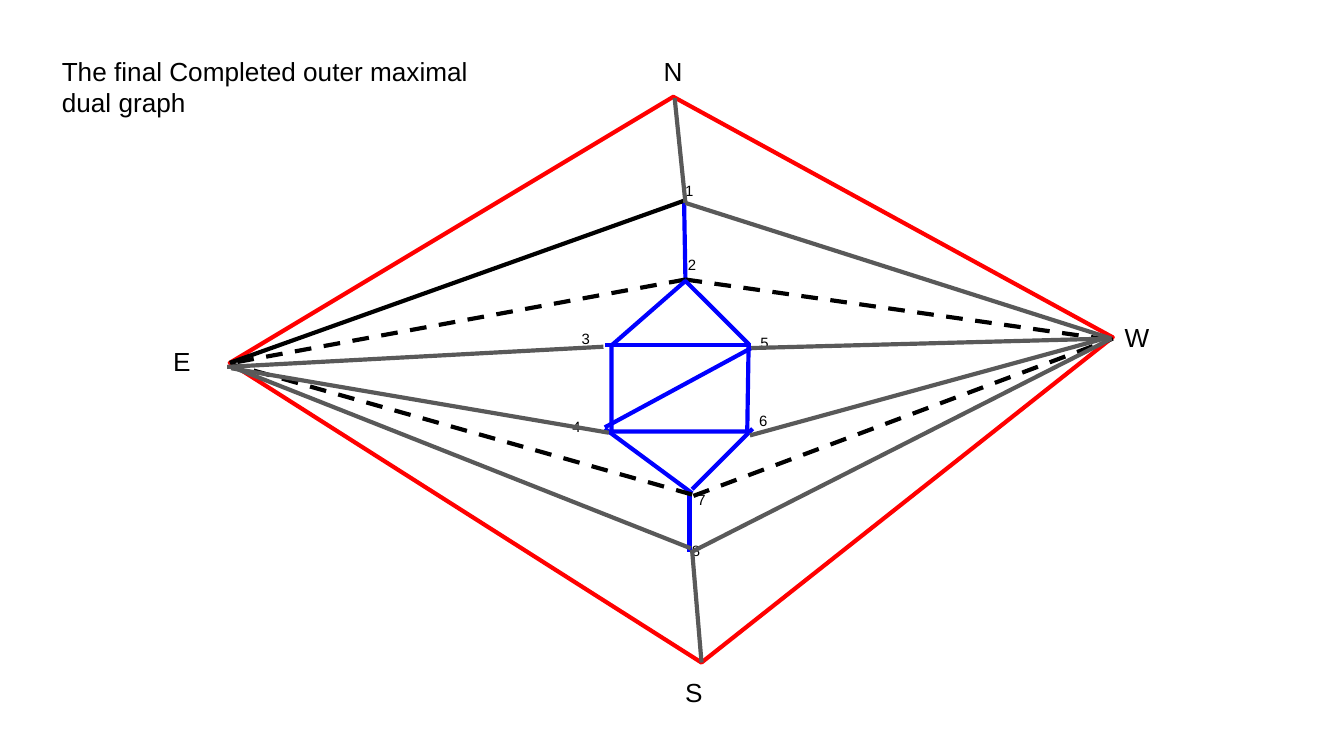
from lxml import etree
from pptx import Presentation
from pptx.dml.color import RGBColor
from pptx.enum.dml import MSO_LINE
from pptx.enum.shapes import MSO_CONNECTOR
from pptx.enum.text import MSO_ANCHOR, MSO_AUTO_SIZE, PP_ALIGN
from pptx.oxml.ns import qn
from pptx.util import Emu, Pt

DASH = MSO_LINE.DASH
STRAIGHT = MSO_CONNECTOR.STRAIGHT
TOP = MSO_ANCHOR.TOP
NO_AUTOFIT = MSO_AUTO_SIZE.NONE
LEFT = PP_ALIGN.LEFT
PX = 9144  # 100 px to the inch
RED, BLUE, GRAY, BLACK = "FF0000", "0000FF", "595959", "000000"

presentation = Presentation()
presentation.slide_width = Emu(1000 * PX)
presentation.slide_height = Emu(1000 * PX * 9 // 16)
slide = presentation.slides.add_slide(presentation.slide_layouts[5])
shapes = slide.shapes


def write_text(shape, text, size):
    frame = shape.text_frame
    frame.text = text
    frame_format = {
        "word_wrap": True,
        "auto_size": NO_AUTOFIT,
        "vertical_anchor": TOP,
        "margin_left": 10 * PX,
        "margin_right": 10 * PX,
        "margin_top": 10 * PX,
        "margin_bottom": 10 * PX,
    }
    for name, value in frame_format.items():
        setattr(frame, name, value)
    paragraph = frame.paragraphs[0]
    paragraph.alignment = LEFT
    font = paragraph.runs[0].font
    for name, value in {"name": "Arial", "size": Pt(size)}.items():
        setattr(font, name, value)
    font.color.rgb = RGBColor.from_string(BLACK)


def draw_path(points, color, dash=None):
    """Draw a connector for two points, a closed outline for more."""
    if len(points) == 2:
        (x1, y1), (x2, y2) = points
        shape = shapes.add_connector(STRAIGHT, x1 * PX, y1 * PX, x2 * PX, y2 * PX)
        etree.SubElement(shape._element.spPr, qn("a:effectLst"))
    else:
        builder = shapes.build_freeform(*points[0], scale=PX)
        builder.add_line_segments(points[1:], close=True)
        shape = builder.convert_to_shape()
        shape.fill.background()
        shape.shadow.inherit = False
    shape.line.color.rgb = RGBColor.from_string(color)
    shape.line.width = Pt(2.25)
    if dash:
        shape.line.dash_style = dash


title = shapes.title
title.left, title.top, title.width, title.height = (
    Emu(value * PX) for value in (36, 31, 339, 73))
write_text(title, "The final Completed outer maximal dual graph", 14)

# Outer boundary N-E-S-W, inner edges and the dashed edges of 2 and 7
draw_path([(501, 72), (171, 270), (522, 493), (828, 251)], RED)
inner_edges = [
    ((510, 208), (509, 149), BLUE, None),
    ((510, 208), (173, 270), BLACK, DASH),
    ((510, 208), (827, 253), BLACK, DASH),
    ((450, 257), (559, 257), BLUE, None),
    ((450, 318), (559, 259), BLUE, None),
    ((560, 319), (515, 364), BLUE, None),
    ((450, 319), (515, 367), BLUE, None),
    ((513, 365), (513, 411), BLUE, None),
    ((515, 368), (172, 271), BLACK, DASH),
    ((516, 369), (828, 252), BLACK, DASH),
]
for start, end, color, dash in inner_edges:
    draw_path([start, end], color, dash)

vertex_labels = [
    ("N", 484, 31, 14), ("S", 500, 493, 14),
    ("E", 119, 247, 14), ("W", 827, 229, 14),
    ("2", 502, 180, 8), ("1", 500, 125, 8),
    ("3", 423, 235, 8), ("5", 556, 238, 8),
    ("4", 416, 301, 8), ("6", 555, 296, 8),
    ("7", 509, 355, 8), ("8", 505, 393, 8),
]
for text, left, top, size in vertex_labels:
    label = shapes.add_textbox(left * PX, top * PX, 51 * PX, 36 * PX)
    write_text(label, text, size)

# Edges that join the inner vertices to N, E and W
draw_path([(510, 149), (171, 270)], BLACK)
upper_edges = [
    ((510, 151), (502, 73)),
    ((510, 151), (827, 252)),
    ((449, 258), (169, 273)),
    ((453, 322), (172, 274)),
    ((558, 324), (825, 251)),
    ((559, 259), (823, 252)),
]
for edge in upper_edges:
    draw_path(edge, GRAY)

# Pentagon 2-3-4-6-5, then the edges of vertex 8
draw_path([(510, 209), (455, 257), (455, 321), (556, 321), (557, 256)], BLUE)
lower_edges = [
    ((514, 408), (175, 274)),
    ((515, 410), (522, 493)),
    ((514, 411), (827, 252)),
]
for edge in lower_edges:
    draw_path(edge, GRAY)

presentation.save("out.pptx")
